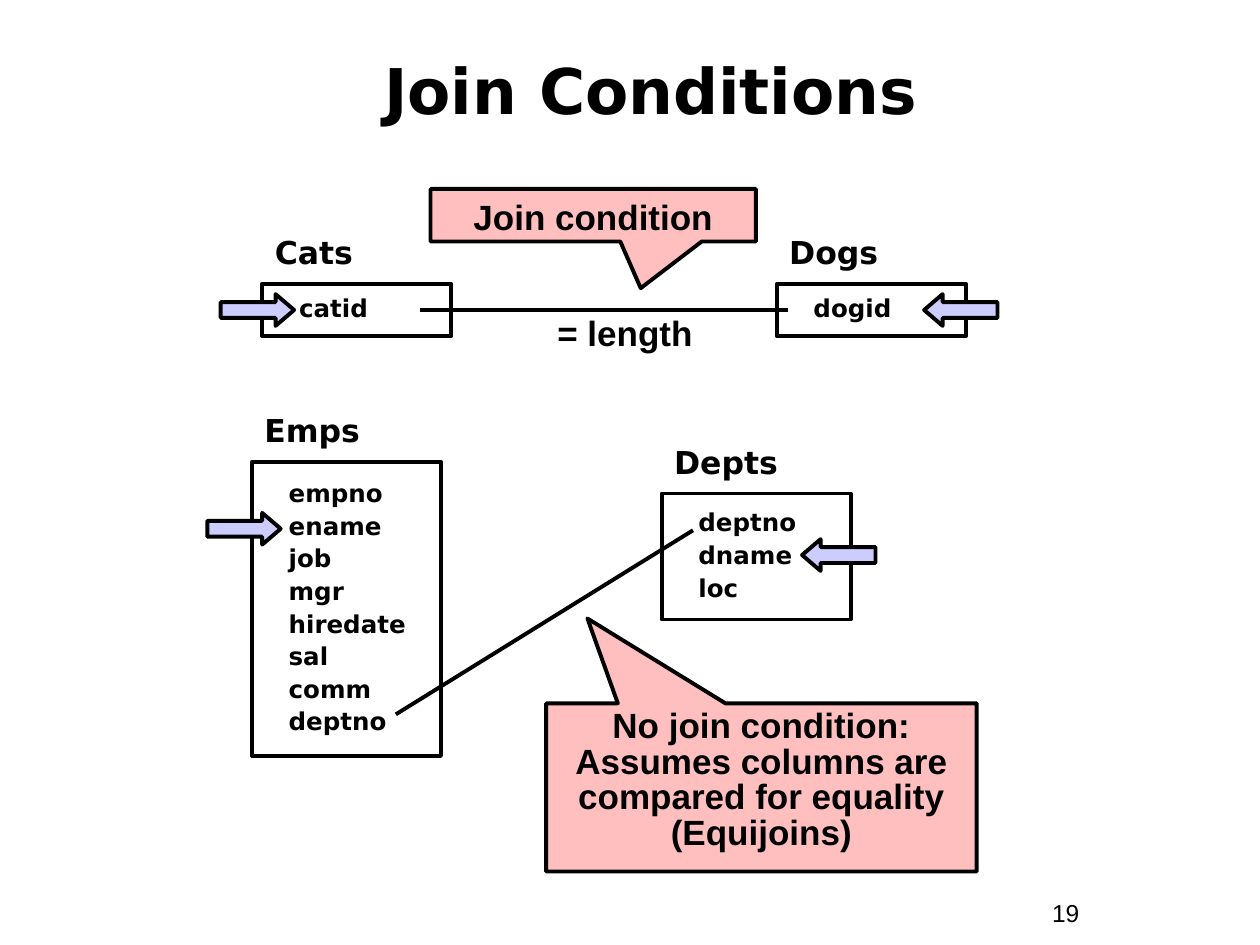
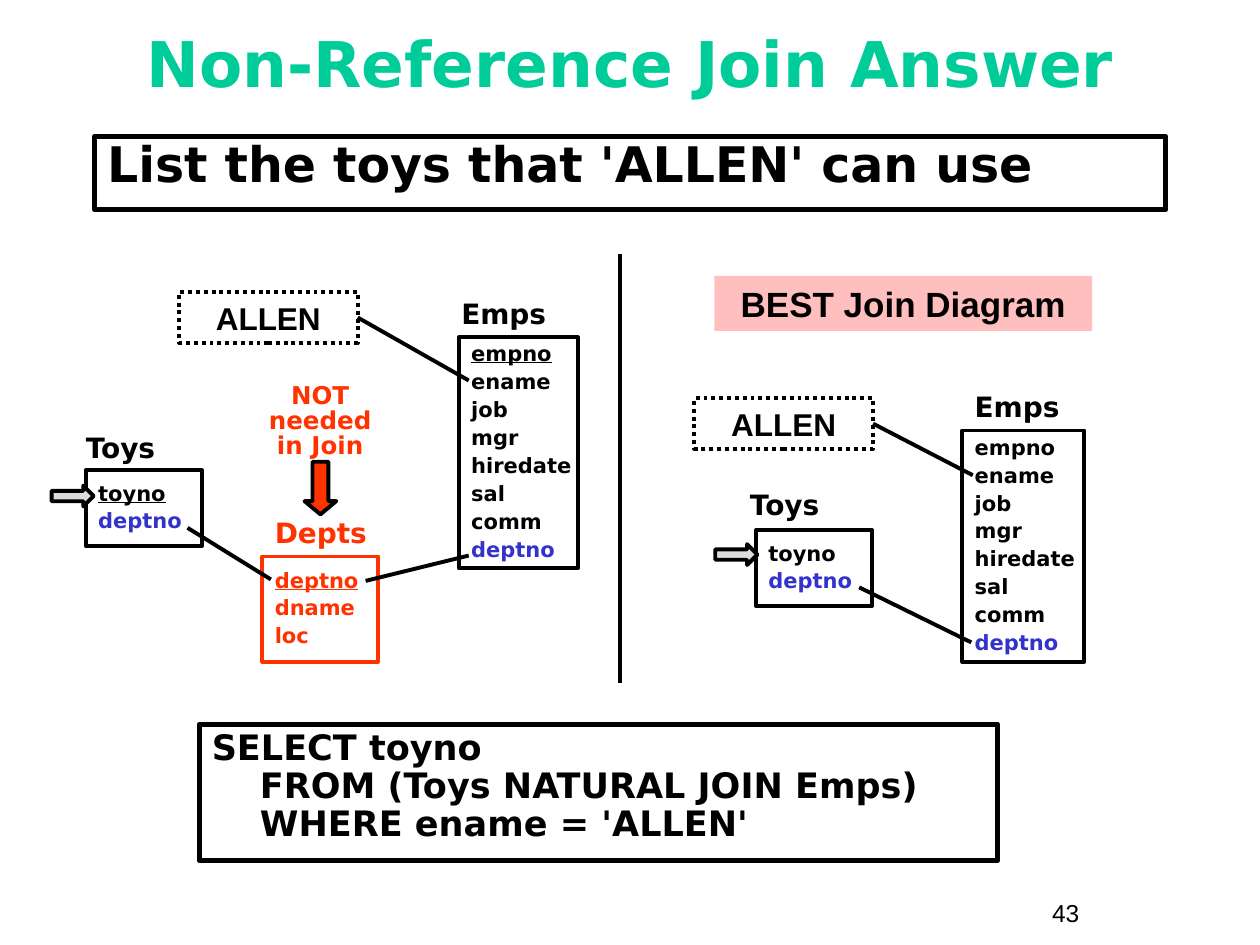
from dataclasses import dataclass

from lxml import etree
from pptx import Presentation
from pptx import util as u
from pptx.dml.color import RGBColor
from pptx.enum import dml, shapes, text
from pptx.oxml import ns

Cm, Pt = u.Cm, u.Pt
SHAPE, ALIGN, ANCHOR = shapes.MSO_SHAPE, text.PP_ALIGN, text.MSO_ANCHOR


@dataclass(frozen=True)
class Scale:
    name: int
    field: int
    inset: float
    gap: float
    arrow: tuple
    arrow_head: float
    arrow_fill: RGBColor


@dataclass(frozen=True)
class Theme:
    heading = "DejaVu Sans"
    label = "Arial"
    black = RGBColor.from_string("000000")
    green = RGBColor.from_string("00CC99")
    pink = RGBColor.from_string("FFBFBF")
    blue = RGBColor.from_string("3333CC")
    red = RGBColor.from_string("FF3300")
    title = 36
    question = 28
    note = 20
    value = 18
    small = 14
    line = 2.25
    frame = 3
    large = Scale(18, 14, 0.74, 1.06, (1.48, 0.64), 0.583,
                  RGBColor.from_string("CCCCFF"))
    compact = Scale(16, 12, 0.25, 0.88, (0.85, 0.42), 0.5,
                    RGBColor.from_string("DDDDDD"))


class Deck:
    def __init__(self, theme):
        self.theme = theme
        self.prs = Presentation()
        self.prs.slide_width, self.prs.slide_height = Cm(25.4), Cm(19.05)

    def slide(self, layout, scale, number):
        self.s = self.prs.slides.add_slide(self.prs.slide_layouts[layout])
        self.scale = scale
        self.label(20.96, 17.98, 2.34, 0.86, number, self.theme.small,
                   font=self.theme.label, bold=False)

    def fill_text(self, sp, lines, size, font=None, color=None, bold=True,
                  align=ALIGN.LEFT, spacing=1.0, before=0, anchor=ANCHOR.TOP,
                  inset=0.25, right=0.25, hang=0):
        tf = sp.text_frame
        tf.word_wrap = True
        tf.auto_size = text.MSO_AUTO_SIZE.NONE
        tf.vertical_anchor = anchor
        tf.margin_left, tf.margin_right = Cm(inset), Cm(right)
        tf.margin_top = tf.margin_bottom = Cm(0.13)
        tf.text = lines
        for i, p in enumerate(tf.paragraphs):
            p.alignment = align
            p.line_spacing = spacing
            p.space_before = Pt(before if i else 0)
            if hang:
                pPr = p._p.get_or_add_pPr()
                pPr.set("marL", str(int(Cm(hang))))
                pPr.set("indent", str(-int(Cm(hang))))
                etree.SubElement(pPr, ns.qn("a:buNone"))
            for r in p.runs:
                r.font.name = font or self.theme.heading
                r.font.size = Pt(size)
                r.font.bold = bold
                r.font.color.rgb = color or self.theme.black
        return tf

    def place(self, sp, x, y, w, h):
        sp.left, sp.top, sp.width, sp.height = Cm(x), Cm(y), Cm(w), Cm(h)

    def title(self, x, y, w, h, words, color):
        sp = self.s.shapes.title
        self.place(sp, x, y, w, h)
        self.fill_text(sp, words, self.theme.title, color=color,
                       align=ALIGN.CENTER, anchor=ANCHOR.MIDDLE)

    def question(self, x, y, w, h, words):
        sp = self.s.placeholders[1]
        self.place(sp, x, y, w, h)
        self.outline(sp, self.theme.black, self.theme.frame)
        self.fill_text(sp, words, self.theme.question, spacing=0.85, hang=0.97)

    def outline(self, sp, color, width):
        sp.line.color.rgb = color
        sp.line.width = Pt(width)

    def label(self, x, y, w, h, lines, size, **style):
        sp = self.s.shapes.add_textbox(Cm(x), Cm(y), Cm(w), Cm(h))
        self.fill_text(sp, lines, size, **style)

    def shape(self, kind, x, y, w, h, fill=None, line=None, width=None, adjust=()):
        sp = self.s.shapes.add_shape(kind, Cm(x), Cm(y), Cm(w), Cm(h))
        sp.shadow.inherit = False
        if fill is None:
            sp.fill.background()
        else:
            sp.fill.solid()
            sp.fill.fore_color.rgb = fill
        self.outline(sp, line or self.theme.black, width or self.theme.line)
        for i, value in enumerate(adjust):
            sp.adjustments[i] = value
        return sp

    def note(self, sp, words, spacing=1.0):
        self.fill_text(sp, words, self.theme.note, font=self.theme.label,
                       align=ALIGN.CENTER, spacing=spacing)

    def callout(self, x, y, w, h, words, tip, spacing=1.0):
        sp = self.shape(SHAPE.RECTANGULAR_CALLOUT, x, y, w, h,
                        fill=self.theme.pink, adjust=tip)
        self.note(sp, words, spacing)

    def badge(self, x, y, w, h, words):
        sp = self.shape(SHAPE.RECTANGLE, x, y, w, h, fill=self.theme.pink)
        sp.line.fill.background()
        self.note(sp, words)

    def query(self, x, y, w, h, words):
        sp = self.shape(SHAPE.RECTANGLE, x, y, w, h, width=self.theme.frame)
        self.fill_text(sp, words, self.theme.note, spacing=0.9, hang=0.97)

    def value(self, x, y, words):
        sp = self.shape(SHAPE.RECTANGLE, x, y, 3.6, 1.02)
        sp.line.dash_style = dml.MSO_LINE.ROUND_DOT
        self.fill_text(sp, words, self.theme.value, font=self.theme.label,
                       align=ALIGN.CENTER)
        return sp

    def entity(self, x, y, w, h, name, fields, color=None, key=None,
               link=None, shift=0, gap=None):
        scale = self.scale
        self.label(x + shift, y - (gap or scale.gap), 3.6, 0.9, name, scale.name,
                   color=color, spacing=0.9)
        sp = self.shape(SHAPE.RECTANGLE, x, y, w, h, line=color)
        tf = self.fill_text(sp, "\n".join(fields), scale.field, color=color,
                            spacing=0.9, before=scale.field / 4,
                            anchor=ANCHOR.MIDDLE, inset=scale.inset, right=0)
        for p in tf.paragraphs:
            for r in p.runs:
                if r.text == key:
                    r.font.underline = True
                if r.text == link:
                    r.font.color.rgb = self.theme.blue

    def arrow(self, x, y, kind=SHAPE.RIGHT_ARROW):
        self.shape(kind, x, y, *self.scale.arrow, fill=self.scale.arrow_fill,
                   adjust=(0.5, self.scale.arrow_head))

    def line(self, x1, y1, x2, y2, source=None):
        c = self.s.shapes.add_connector(shapes.MSO_CONNECTOR.STRAIGHT,
                                        Cm(x1), Cm(y1), Cm(x2), Cm(y2))
        if source is not None:
            c.begin_connect(source, 3)
        self.outline(c, self.theme.black, self.theme.line)
        etree.SubElement(c._element.spPr, ns.qn("a:effectLst"))


EMPS = ["empno", "ename", "job", "mgr", "hiredate", "sal", "comm", "deptno"]
DEPTS = ["deptno", "dname", "loc"]
TOYS = ["toyno", "deptno"]


def join_conditions(d):
    t = d.theme
    d.slide(5, t.large, "19")
    d.title(1.27, 0.64, 23.7, 2.34, "Join Conditions", t.black)
    d.entity(5.29, 5.72, 3.81, 1.06, "Cats", ["catid"])
    d.entity(15.66, 5.72, 3.81, 1.06, "Dogs", ["dogid"])
    d.entity(5.08, 9.31, 3.81, 5.93, "Emps", EMPS)
    d.entity(13.34, 9.95, 3.81, 2.54, "Depts", DEPTS)
    d.line(8.47, 6.25, 15.88, 6.25)
    d.label(10.8, 6.14, 3.6, 1.12, "= length", t.note, font=t.label,
            align=ALIGN.CENTER)
    d.callout(8.68, 3.81, 6.56, 1.06, "Join condition", (0.146, 1.387))
    d.line(7.98, 14.4, 13.97, 10.69)
    d.callout(11.01, 14.18, 8.68, 3.39,
              "No join condition:\vAssumes columns are compared for equality"
              "\v(Equijoins)", (-0.404, -1.005), 0.85)
    d.arrow(4.45, 5.93)
    d.arrow(4.18, 10.34)
    d.arrow(16.17, 10.87, SHAPE.LEFT_ARROW)
    d.arrow(18.63, 5.93, SHAPE.LEFT_ARROW)


def non_reference_join(d):
    t = d.theme
    d.slide(1, t.compact, "43")
    d.title(0.85, 0.42, 23.7, 1.69, "Non-Reference Join Answer", t.green)
    d.question(1.91, 2.75, 21.59, 1.48, "List the toys that 'ALLEN' can use")
    d.line(12.49, 5.13, 12.49, 13.77)

    d.entity(9.25, 6.8, 2.4, 4.66, "Emps", EMPS, key="empno", link="deptno",
             shift=-0.2)
    d.entity(5.29, 11.22, 2.34, 2.12, "Depts", DEPTS, color=t.red, key="deptno")
    d.entity(1.73, 9.48, 2.34, 1.53, "Toys", TOYS, key="toyno", link="deptno",
             shift=-0.25, gap=0.85)
    d.label(5.08, 7.62, 2.75, 1.78, "NOT\vneeded\vin Join", t.small, color=t.red,
            align=ALIGN.CENTER, spacing=0.85)
    d.shape(SHAPE.DOWN_ARROW, 6.14, 9.31, 0.64, 1.06, fill=t.red,
            adjust=(0.5, 0.417))
    d.arrow(1.04, 9.79)
    allen = d.value(3.61, 5.89, "ALLEN")
    d.line(7.21, 6.4, 9.45, 7.67, allen)
    d.line(3.78, 10.64, 5.46, 11.68)
    d.line(7.37, 11.71, 9.45, 11.2)

    d.badge(14.4, 5.56, 7.62, 1.11, "BEST Join Diagram")
    d.entity(19.4, 8.68, 2.46, 4.66, "Emps", EMPS, link="deptno")
    d.entity(15.24, 10.69, 2.34, 1.53, "Toys", TOYS, link="deptno",
             shift=-0.37, gap=0.91)
    d.arrow(14.42, 10.97)
    allen = d.value(14, 8.03, "ALLEN")
    d.line(17.6, 8.54, 19.61, 9.58, allen)
    d.line(17.32, 11.84, 19.58, 12.95)

    d.query(4.02, 14.6, 16.09, 2.75,
            "SELECT toyno\vFROM (Toys NATURAL JOIN Emps)\vWHERE ename = 'ALLEN'")


def main():
    d = Deck(Theme())
    join_conditions(d)
    non_reference_join(d)
    d.prs.save("out.pptx")


if __name__ == "__main__":
    main()
